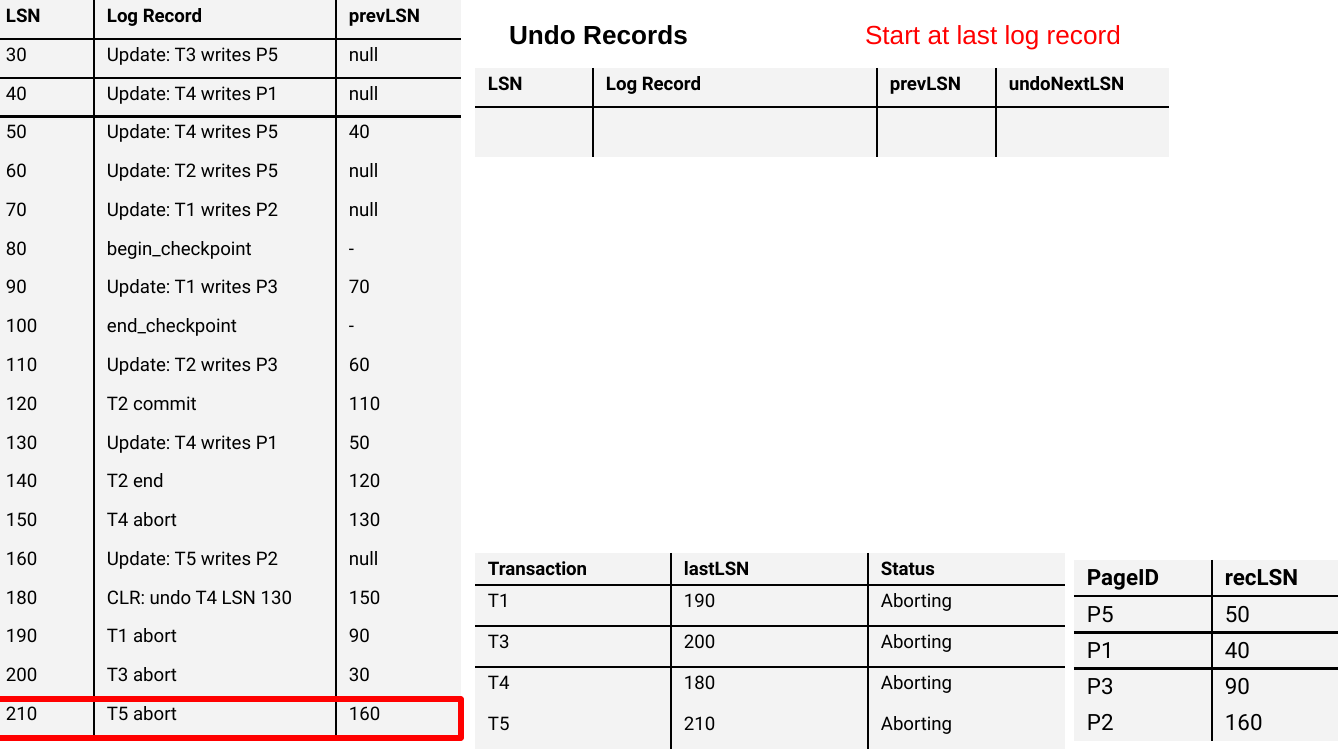
from lxml import etree
from pptx import Presentation
from pptx import util as u
from pptx.dml.color import RGBColor
from pptx.enum import shapes, text
from pptx.oxml.ns import qn

EMU_PER_PX = 914400 / 134.4
BLACK = RGBColor(0x00, 0x00, 0x00)
RED = RGBColor(0xFF, 0x00, 0x00)
GRAY = RGBColor(0xF3, 0xF3, 0xF3)
PLAIN_STYLE = "{2D5ABB26-0587-4C30-8999-92F81FD0307C}"  # no style, no grid

LOG = [
    ("LSN", "Log Record", "prevLSN"),
    ("30", "Update: T3 writes P5", "null"),
    ("40", "Update: T4 writes P1", "null"),
    ("50", "Update: T4 writes P5", "40"),
    ("60", "Update: T2 writes P5", "null"),
    ("70", "Update: T1 writes P2", "null"),
    ("80", "begin_checkpoint", "-"),
    ("90", "Update: T1 writes P3", "70"),
    ("100", "end_checkpoint", "-"),
    ("110", "Update: T2 writes P3", "60"),
    ("120", "T2 commit", "110"),
    ("130", "Update: T4 writes P1", "50"),
    ("140", "T2 end", "120"),
    ("150", "T4 abort", "130"),
    ("160", "Update: T5 writes P2", "null"),
    ("180", "CLR: undo T4 LSN 130", "150"),
    ("190", "T1 abort", "90"),
    ("200", "T3 abort", "30"),
    ("210", "T5 abort", "160"),
]
TRANSACTIONS = [
    ("Transaction", "lastLSN", "Status"),
    ("T1", "190", "Aborting"),
    ("T3", "200", "Aborting"),
    ("T4", "180", "Aborting"),
    ("T5", "210", "Aborting"),
]
DIRTY_PAGES = [
    ("PageID", "recLSN"),
    ("P5", "50"),
    ("P1", "40"),
    ("P3", "90"),
    ("P2", "160"),
]
UNDO = [
    ("LSN", "Log Record", "prevLSN", "undoNextLSN"),
    ("", "", "", ""),
]

# rows, left, top, column widths, header height, body height, font size
TABLES = [
    (LOG, -7, 0, (101, 242, 125), 39, 699, 10),
    (TRANSACTIONS, 475, 553, (196, 197, 197), 32, 164, 10),
    (DIRTY_PAGES, 1074, 560, (138, 126), 36, 145, 12),
    (UNDO, 475, 68, (118, 284, 119, 173), 39, 50, 10),
]
# wording, left, top, width, height, colour, bold
LABELS = [
    ("Undo Records", 496, 5, 286, 59, BLACK, True),
    ("Start at last log record", 852, 5, 457, 59, RED, False),
]
LAST_RECORD_FRAME = (-7, 699, 468, 39)


def px(length):
    return u.Emu(round(length * EMU_PER_PX))


def add_border(cell, side):
    line = etree.SubElement(cell._tc.get_or_add_tcPr(), qn(f"a:ln{side}"), w=str(u.Pt(1.5)))
    fill = etree.SubElement(line, qn("a:solidFill"))
    etree.SubElement(fill, qn("a:srgbClr"), val=str(BLACK))


def add_grid(slide, rows, left, top, widths, header, body, size):
    """Table with column rules, and lines below the header and the first record."""
    frame = slide.shapes.add_table(
        len(rows), len(widths), px(left), px(top), px(sum(widths)), px(header + body))
    table = frame.table
    table.first_row = table.horz_banding = False
    table._tbl.tblPr.find(qn("a:tableStyleId")).text = PLAIN_STYLE
    for column, width in zip(table.columns, widths):
        column.width = px(width)
    last_row, last_column = len(rows) - 1, len(widths) - 1
    for i, values in enumerate(rows):
        table.rows[i].height = px(body / last_row if i else header)
        for j, value in enumerate(values):
            cell = table.cell(i, j)
            cell.margin_left = cell.margin_right = px(13)
            cell.margin_top = cell.margin_bottom = px(5)
            sides = {"L": j > 0, "R": j < last_column,
                     "T": i in (1, 2), "B": i < min(2, last_row)}
            for side, drawn in sides.items():
                if drawn:
                    add_border(cell, side)
            cell.fill.solid()
            cell.fill.fore_color.rgb = GRAY
            paragraph = cell.text_frame.paragraphs[0]
            paragraph.text = value
            set_font(paragraph.font, "Roboto", size, BLACK, i == 0)


def set_font(font, name, size, color, bold):
    font.name, font.size, font.bold = name, u.Pt(size), bold
    font.color.rgb = color


def add_label(slide, wording, left, top, width, height, color, bold):
    box = slide.shapes.add_textbox(px(left), px(top), px(width), px(height))
    frame = box.text_frame
    frame.word_wrap = True
    frame.auto_size = text.MSO_AUTO_SIZE.SHAPE_TO_FIT_TEXT
    frame.margin_left = frame.margin_right = px(13)
    frame.margin_top = frame.margin_bottom = px(13)
    paragraph = frame.paragraphs[0]
    paragraph.text = wording
    set_font(paragraph.font, "Arial", 14, color, bold)


def add_frame(slide, box):
    frame = slide.shapes.add_shape(shapes.MSO_SHAPE.RECTANGLE, *map(px, box))
    frame.shadow.inherit = False
    frame.fill.background()
    frame.line.color.rgb = RED
    frame.line.width = u.Pt(3)
    etree.SubElement(frame.line._get_or_add_ln(), qn("a:round"))


def main():
    presentation = Presentation()
    presentation.slide_width, presentation.slide_height = px(1344), px(756)
    slide = presentation.slides.add_slide(presentation.slide_layouts[6])
    for table in TABLES:
        add_grid(slide, *table)
    add_frame(slide, LAST_RECORD_FRAME)
    for label in LABELS:
        add_label(slide, *label)
    presentation.save("out.pptx")


if __name__ == "__main__":
    main()
